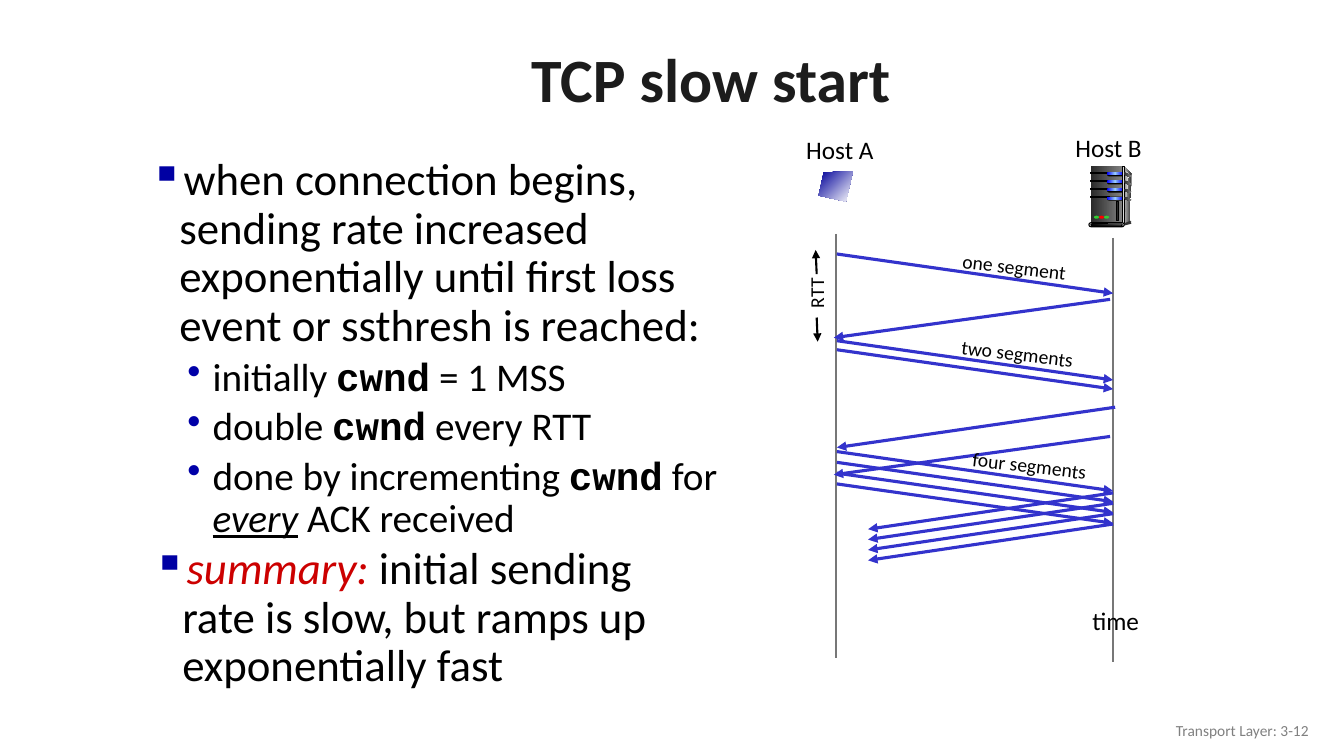
import lxml.etree
import pptx
import pptx.dml.color
import pptx.enum.shapes
import pptx.enum.text
import pptx.oxml.ns
import pptx.util

Inches = pptx.util.Inches
Pt = pptx.util.Pt
SHAPE = pptx.enum.shapes.MSO_SHAPE
ALIGN = pptx.enum.text.PP_ALIGN
ANCHOR = pptx.enum.text.MSO_ANCHOR
qn = pptx.oxml.ns.qn

COLORS = {
    "title": "1C1C1C", "text": "000000", "accent": "CC0000", "footer": "808080",
    "square": "0000A3", "dot": "0000A8", "segment": "3333CC", "timeline": "777777",
    "black": "000000", "navy": "000099", "white": "FFFFFF", "coal": "292929",
    "dark": "333333", "gray": "808080", "light": "DDDDDD", "pale": "F8F8F8",
    "blue": "0000FF", "sky": "99CCFF", "green": "33CC33", "red": "FF0000",
}
CODE = {"name": "Courier New", "bold": True}


def rgb(name):
    return pptx.dml.color.RGBColor.from_string(COLORS[name])


def add_element(parent, tag, **attributes):
    return lxml.etree.SubElement(parent, qn(tag), **attributes)


class Page:
    """The current slide and its style."""

    def __init__(self, deck, font="Calibri"):
        self.shapes = deck.slides.add_slide(deck.slide_layouts[6]).shapes
        self.font = font

    def text_box(self, left, top, width, height, anchor=ANCHOR.TOP):
        box = self.shapes.add_textbox(*map(Inches, (left, top, width, height)))
        box.text_frame.word_wrap = True
        box.text_frame.vertical_anchor = anchor
        return box

    def format_span(self, span, size, color="text", name=None, **style):
        span.font.name = name or self.font
        span.font.size = Pt(size)
        span.font.color.rgb = rgb(color)
        for key, value in style.items():
            setattr(span.font, key, value)

    def line_of_text(self, text, place, size, align, anchor=ANCHOR.MIDDLE, **style):
        box = self.text_box(*place, anchor=anchor)
        para = box.text_frame.paragraphs[0]
        para.text = text
        para.alignment = align
        self.format_span(para.runs[0], size, **style)
        return box

    def label(self, text, place, size=14, rotation=0):
        box = self.line_of_text(text, place, size, ALIGN.CENTER, ANCHOR.TOP)
        box.text_frame.word_wrap = False
        box.rotation = rotation

    def bullets(self, place, items):
        """Each item is a level and a list of (text, style) spans."""
        frame = self.text_box(*place).text_frame
        for index, (level, spans) in enumerate(items):
            para = frame.add_paragraph() if index else frame.paragraphs[0]
            char, color, size, margin, hang, gap = (
                ("▪", "square", 32, 0.43, 0.29, 10),
                ("•", "dot", 28, 0.76, 0.25, 5))[level]
            para.level = level
            para.line_spacing = 0.9
            if index:
                para.space_before = Pt(gap)
            props = para._p.get_or_add_pPr()
            props.set("marL", str(Inches(margin)))
            props.set("indent", str(-Inches(hang)))
            add_element(add_element(props, "a:buClr"), "a:srgbClr", val=COLORS[color])
            add_element(props, "a:buChar", char=char)
            for text, style in spans:
                span = para.add_run()
                span.text = text
                self.format_span(span, size, **style)

    def line(self, start, end, color, width, arrow=False):
        link = self.shapes.add_connector(
            pptx.enum.shapes.MSO_CONNECTOR.STRAIGHT, *map(Inches, start + end))
        link.line.color.rgb = rgb(color)
        link.line.width = Pt(width)
        if arrow:
            add_element(link.line._get_or_add_ln(), "a:tailEnd", type="triangle")
        add_element(link._element.spPr, "a:effectLst")

    def segment(self, start, end):
        self.line(start, end, "segment", 2.25, arrow=True)

    def paint(self, shape, colors, outlined=False, angle=0):
        """Fill with one colour, or with an even gradient of several."""
        shape.shadow.inherit = False
        if len(colors) == 1:
            shape.fill.solid()
            shape.fill.fore_color.rgb = rgb(colors[0])
        else:
            shape.fill.gradient()
            shape.fill.gradient_angle = -angle % 360
            stops = shape._element.spPr.find(".//" + qn("a:gsLst"))
            stops[:] = []
            for index, color in enumerate(colors):
                position = index * 100000 // (len(colors) - 1)
                stop = add_element(stops, "a:gs", pos=str(position))
                add_element(stop, "a:srgbClr", val=COLORS[color])
        if outlined:
            shape.line.color.rgb = rgb("black")
            shape.line.width = Pt(0.75)
        else:
            shape.line.fill.background()

    def preset(self, kind, place, *colors, outlined=False):
        shape = self.shapes.add_shape(kind, *map(Inches, place))
        if kind == SHAPE.ROUNDED_RECTANGLE:
            shape.adjustments[0] = 0.5
        self.paint(shape, colors, outlined)

    def outline(self, points, *colors, angle=0):
        corners = [(Inches(x), Inches(y)) for x, y in points]
        builder = self.shapes.build_freeform(*corners[0])
        builder.add_line_segments(corners[1:], close=True)
        self.paint(builder.convert_to_shape(), colors, angle=angle)


def draw_server(page):
    rect, pill, oval = SHAPE.RECTANGLE, SHAPE.ROUNDED_RECTANGLE, SHAPE.OVAL
    page.outline([(11.15, 1.65), (11.22, 1.72), (11.21, 2.2), (11.13, 2.22)], "light", "dark")
    page.preset(rect, (10.82, 1.65, 0.31, 0.57), "coal", "gray")
    page.outline([(11.15, 1.68), (11.2, 1.73), (11.17, 1.95), (11.15, 2.2)], "gray", "pale")
    bays = [1.71 + 0.08 * row for row in range(4)]
    for top in bays:
        page.preset(rect, (10.82, top, 0.18, 0.01), "black", outlined=True)
        page.preset(pill, (10.98, top, 0.17, 0.04), "black")
        page.preset(pill, (10.98, top, 0.16, 0.03), "blue", "sky", "blue")
    page.preset(rect, (11.13, 1.65, 0.02, 0.57), "dark", "light", "dark", outlined=True)
    for top in bays:
        page.outline([(11.15, top), (11.22, top + 0.03), (11.21, top + 0.05),
                      (11.15, top + 0.02)], "coal", "gray")
    page.preset(oval, (11.21, 2.19, 0.01, 0.02), "dark")
    page.outline([(11.14, 2.22), (11.14, 2.24), (11.22, 2.22), (11.21, 2.19)], "dark")
    page.preset(pill, (10.8, 2.21, 0.35, 0.04), "light", outlined=True)
    page.preset(pill, (10.82, 2.22, 0.31, 0.02), "black", "gray", outlined=True)
    for index, color in enumerate(("green", "red", "green")):
        page.preset(oval, (10.85 + 0.05 * index, 2.14, 0.05, 0.03), color)
    page.preset(rect, (11.07, 2, 0.02, 0.19), "coal", outlined=True)


def draw_exchange(page):
    """Segments from host A to host B, and the ACKs back."""
    for x, top in ((8.29, 2.32), (11.04, 2.36)):
        page.line((x, top), (x, top + 4.21), "timeline", 1.5)
    for sent in (2.52, 3.38, 3.47):
        page.segment((8.3, sent), (11.04, sent + 0.39))
    for right, sent, left, received in ((11.01, 2.97, 8.27, 3.35),
                                        (11.06, 4.04, 8.3, 4.44),
                                        (11.01, 4.33, 8.27, 4.71)):
        page.segment((right, sent), (left, received))
    for index in range(4):
        sent = 4.48 + 0.107 * index
        page.segment((8.3, sent), (11.04, sent + 0.39))
        acked = 4.89 + 0.103 * index
        page.segment((11.04, acked), (8.61, acked + 0.36))
    page.line((8.1, 2.72), (8.09, 2.48), "black", 1.5, arrow=True)
    page.line((8.1, 3.15), (8.11, 3.39), "black", 1.5, arrow=True)
    page.label("RTT", (7.85, 2.74, 0.5, 0.34), rotation=270)
    page.label("one segment", (9.44, 2.48, 1.24, 0.34), rotation=6.8)
    page.label("two segments", (9.43, 3.34, 1.32, 0.34), rotation=6.8)
    page.label("four segments", (9.54, 4.45, 1.34, 0.34), rotation=6.8)
    page.label("Host A", (7.89, 1.28, 0.88, 0.4), 18)
    page.label("Host B", (10.56, 1.26, 0.87, 0.4), 18)
    page.label("time", (10.73, 5.96, 0.67, 0.4), 18)


def main():
    deck = pptx.Presentation()
    deck.slide_width, deck.slide_height = Inches(13.33), Inches(7.5)
    page = Page(deck)
    page.line_of_text("TCP slow start ", (0.89, 0.28, 12.46, 0.98), 44, ALIGN.CENTER,
                      color="title", bold=True)
    page.bullets((1.25, 1.51, 6.02, 5.7), [
        (0, [("when connection begins, sending rate increased exponentially "
              "until first loss event or ssthresh is reached:", {})]),
        (1, [("initially ", {}), ("cwnd", CODE), (" = 1 MSS", {})]),
        (1, [("double ", {}), ("cwnd", CODE), (" every RTT", {})]),
        (1, [("done by incrementing ", {}), ("cwnd", CODE), (" for ", {}),
             ("every", {"italic": True, "underline": True}), (" ACK received", {})]),
    ])
    draw_exchange(page)
    page.outline([(8.46, 1.7), (8.17, 1.71), (8.12, 1.94), (8.39, 2)],
                 "navy", "white", angle=45)
    draw_server(page)
    page.bullets((1.28, 5.37, 5.6, 2.08), [
        (0, [("summary: ", {"color": "accent", "italic": True}),
             ("initial sending rate is slow, but ramps up exponentially fast", {})]),
    ])
    page.line_of_text("Transport Layer: 3-12", (10.08, 7.05, 3, 0.4), 11, ALIGN.RIGHT,
                      color="footer")
    deck.save("out.pptx")


if __name__ == "__main__":
    main()
